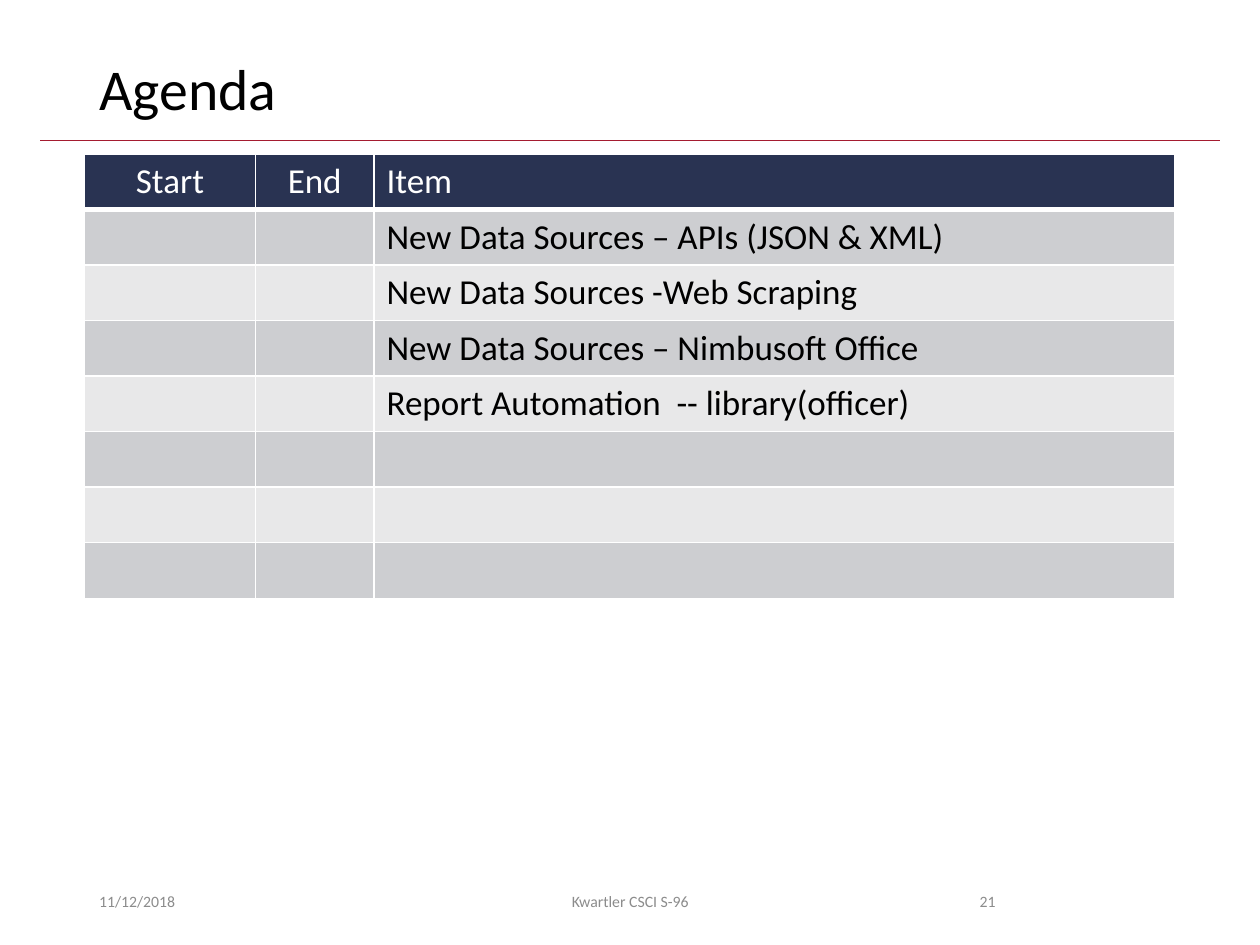
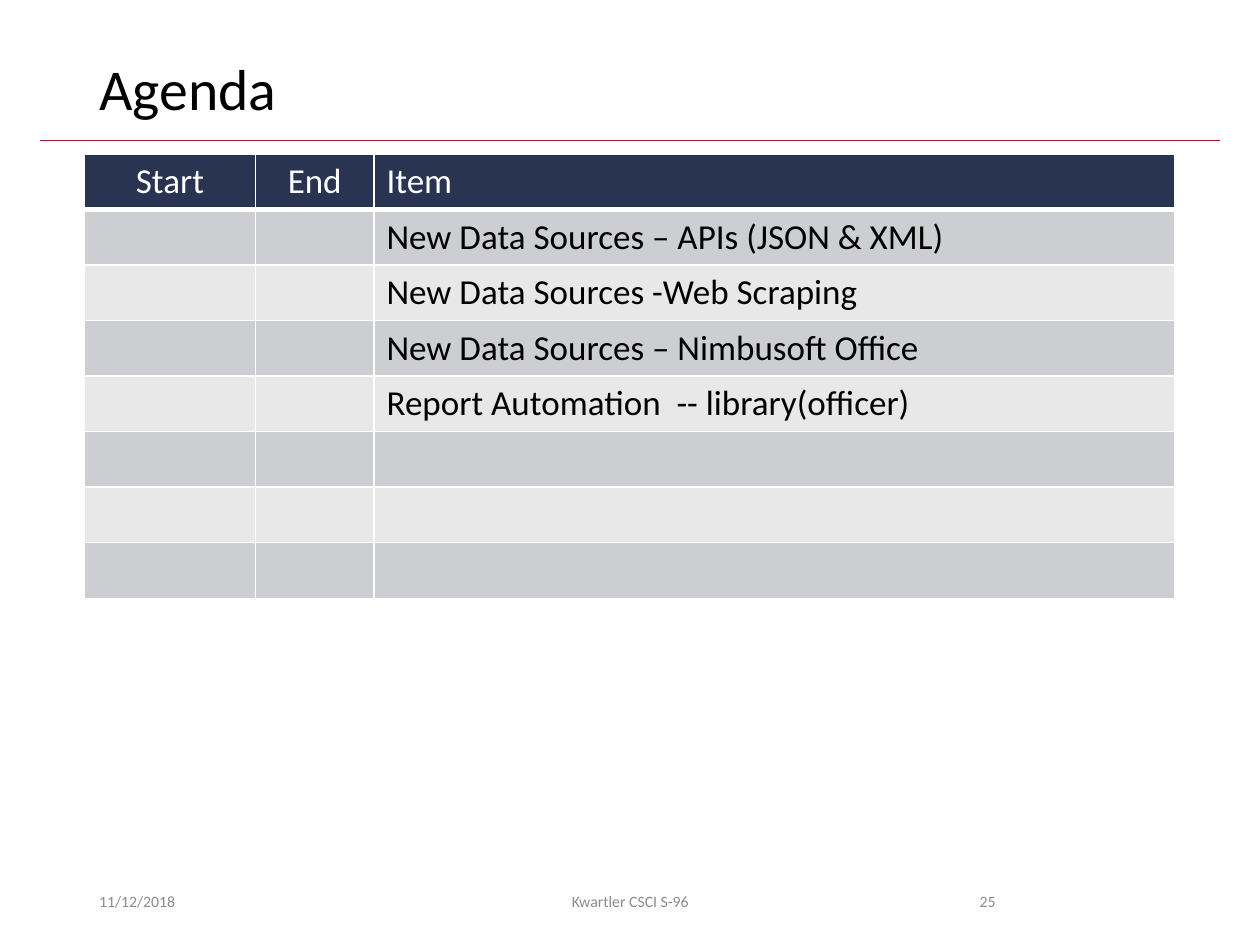
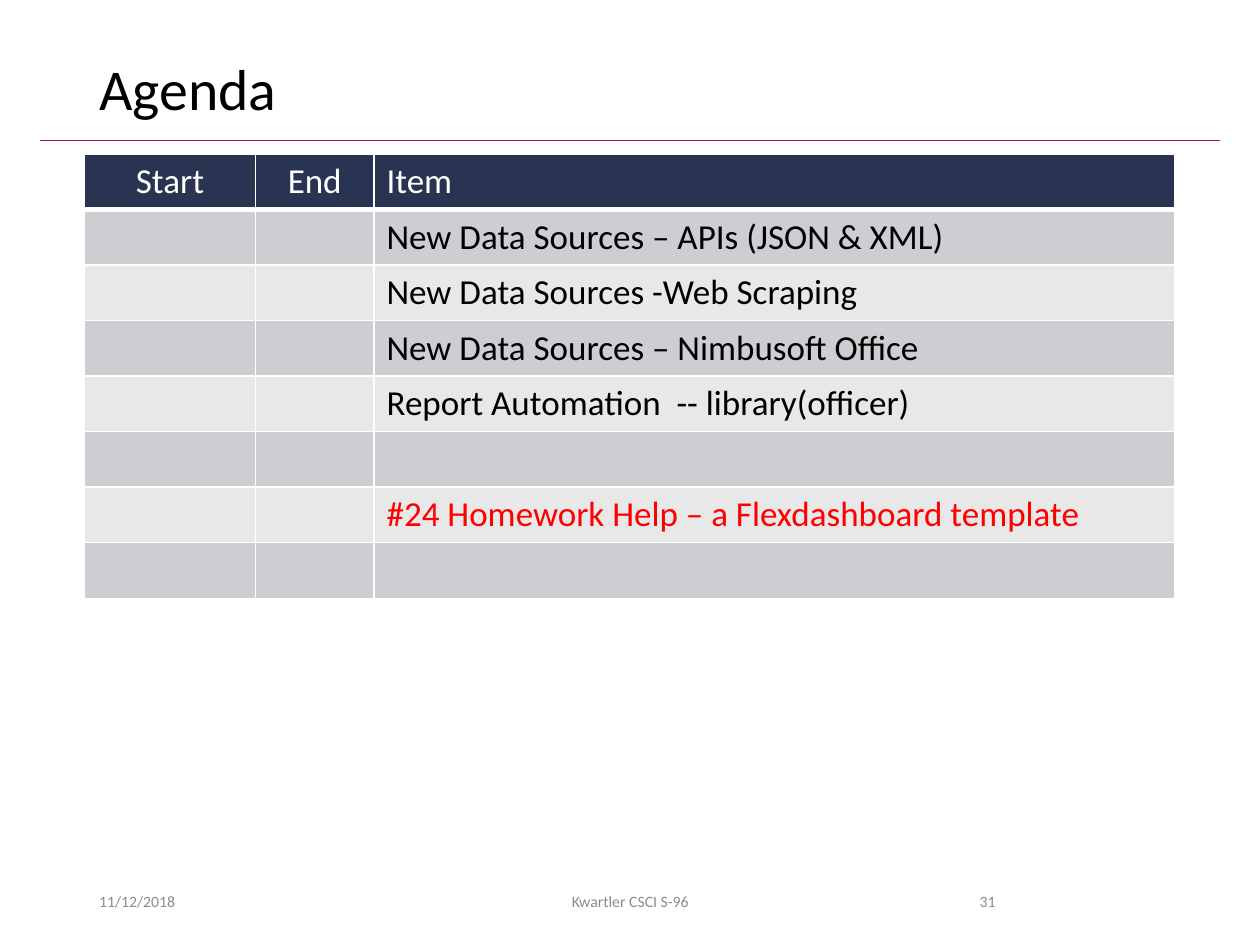
from dataclasses import dataclass

import pptx
import pptx.dml.color
import pptx.enum.shapes
import pptx.enum.text
import pptx.oxml
import pptx.oxml.ns
import pptx.util
from pptx.util import Cm, Pt

ALIGN = pptx.enum.text.PP_ALIGN
MIDDLE = pptx.enum.text.MSO_ANCHOR.MIDDLE

HEADINGS = ("Start", "End", "Item")
SHARED_ITEMS = [
    "New Data Sources – APIs (JSON & XML)",
    "New Data Sources -Web Scraping",
    "New Data Sources – Nimbusoft Office",
    "Report Automation  -- library(officer)",
    "",
]
HOMEWORK = "#24 Homework Help – a Flexdashboard template"
AGENDAS = [  # slide number, items
    ("21", SHARED_ITEMS + ["", ""]),
    ("25", SHARED_ITEMS + ["", ""]),
    ("31", SHARED_ITEMS + [HOMEWORK, ""]),
]
DATE = "11/12/2018"
COURSE = "Kwartler CSCI S-96"


@dataclass(frozen=True)
class Theme:
    font: str = "Calibri"
    title_size: int = 33
    table_size: int = 20
    footer_size: int = 9
    ink: str = "000000"
    white: str = "FFFFFF"
    rule: str = "A51C30"
    header: str = "293352"
    bands: tuple = ("CDCED1", "E8E8E9")
    highlight: str = "FF0000"
    footer: str = "8C8C8C"


THEME = Theme()

TITLE_BOX = (Cm(1.75), Cm(1.02), Cm(21.9), Cm(1.65))
RULE_LEFT, RULE_RIGHT, RULE_Y = Cm(0.81), Cm(24.59), Cm(2.84)
TABLE_LEFT, TABLE_TOP, ROW_HEIGHT = Cm(1.7), Cm(3.1), Cm(1.12)
COLUMN_WIDTHS = (Cm(3.45), Cm(2.39), Cm(16.15))
COLUMN_ALIGNS = (ALIGN.CENTER, ALIGN.CENTER, ALIGN.LEFT)
FOOTER_TOP, FOOTER_HEIGHT = Cm(17.65), Cm(1.02)
FOOTER_SLOTS = [  # left, width, alignment
    (Cm(1.75), Cm(5.72), ALIGN.LEFT),
    (Cm(8.41), Cm(8.59), ALIGN.CENTER),
    (Cm(17.93), Cm(2.39), ALIGN.RIGHT),
]


def rgb(code):
    return pptx.dml.color.RGBColor.from_string(code)


def write(frame, text, size, color, align=ALIGN.LEFT):
    paragraph = frame.paragraphs[0]
    paragraph.alignment = align
    run = paragraph.add_run()
    run.text = text
    for name, value in {"name": THEME.font, "size": Pt(size), "bold": False}.items():
        setattr(run.font, name, value)
    run.font.color.rgb = rgb(color)
    return paragraph


def add_title(slide, text):
    title = slide.shapes.title
    title.left, title.top, title.width, title.height = TITLE_BOX
    title.text_frame.vertical_anchor = MIDDLE
    write(title.text_frame, text, THEME.title_size, THEME.ink).line_spacing = 0.9


def add_rule(slide):
    rule = slide.shapes.add_connector(
        pptx.enum.shapes.MSO_CONNECTOR.STRAIGHT, RULE_LEFT, RULE_Y, RULE_RIGHT, RULE_Y)
    rule.line.color.rgb = rgb(THEME.rule)
    rule.line.width = Pt(0.5)
    rule.element.spPr.append(pptx.oxml.parse_xml(
        f'<a:effectLst {pptx.oxml.ns.nsdecls("a")}/>'))


def add_footer(slide, number):
    for text, (left, width, align) in zip((DATE, COURSE, number), FOOTER_SLOTS):
        frame = slide.shapes.add_textbox(left, FOOTER_TOP, width, FOOTER_HEIGHT).text_frame
        frame.word_wrap = True
        frame.vertical_anchor = MIDDLE
        write(frame, text, THEME.footer_size, THEME.footer, align)


def style_cell(cell, fill, bottom_width):
    """Give the cell white borders and a plain fill; borders precede the fill in the XML."""
    for side, width in {"L": 1, "R": 1, "T": 1, "B": bottom_width}.items():
        cell._tc.get_or_add_tcPr().append(pptx.oxml.parse_xml(
            f'<a:ln{side} {pptx.oxml.ns.nsdecls("a")} w="{Pt(width)}"><a:solidFill>'
            f'<a:srgbClr val="{THEME.white}"/></a:solidFill></a:ln{side}>'))
    cell.fill.solid()
    cell.fill.fore_color.rgb = rgb(fill)


def add_agenda(slide, items):
    rows = [HEADINGS] + [("", "", item) for item in items]
    table = slide.shapes.add_table(
        len(rows), len(HEADINGS), TABLE_LEFT, TABLE_TOP,
        sum(COLUMN_WIDTHS), ROW_HEIGHT * len(rows)).table
    for column, width in zip(table.columns, COLUMN_WIDTHS):
        column.width = width
    for r, texts in enumerate(rows):
        table.rows[r].height = ROW_HEIGHT
        is_header = r == 0
        fill = THEME.header if is_header else THEME.bands[(r - 1) % 2]
        for c, text in enumerate(texts):
            cell = table.cell(r, c)
            style_cell(cell, fill, 3 if is_header else 1)
            if text:
                color = (THEME.white if is_header
                         else THEME.highlight if text == HOMEWORK else THEME.ink)
                write(cell.text_frame, text, THEME.table_size, color, COLUMN_ALIGNS[c])


def main():
    deck = pptx.Presentation()
    deck.slide_width, deck.slide_height = Cm(25.4), Cm(19.05)
    title_only = deck.slide_layouts[5]
    for number, items in AGENDAS:
        slide = deck.slides.add_slide(title_only)
        add_rule(slide)
        add_title(slide, "Agenda")
        add_agenda(slide, items)
        add_footer(slide, number)
    deck.save("out.pptx")


if __name__ == "__main__":
    main()
